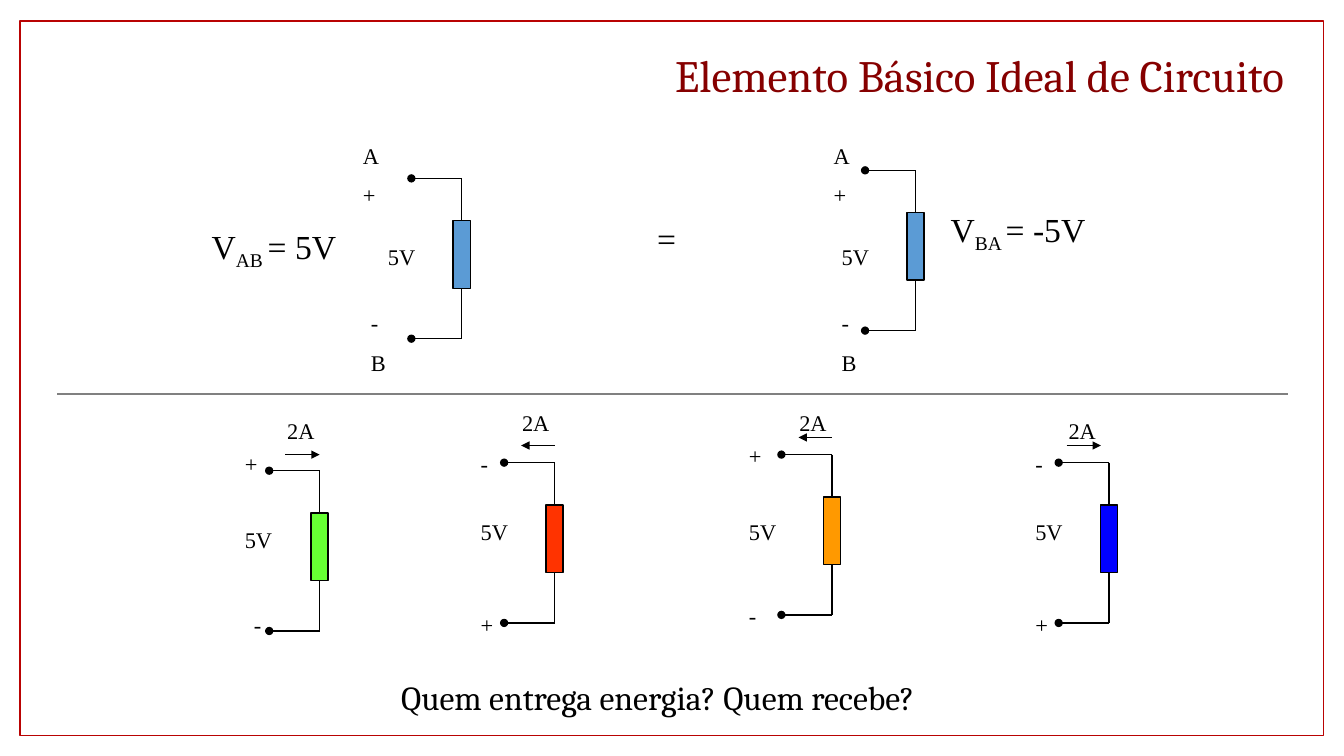
from lxml import etree
from pptx import Presentation
from pptx import util as u
from pptx.dml.color import RGBColor
from pptx.enum import shapes, text
from pptx.oxml.ns import qn

COLORS = {
    "frame": "B90303", "title": "860000", "ink": "000000", "divider": "808080",
    "sky": "5B9BD5", "green": "66FF33", "red": "FF3300",
    "orange": "FF9900", "blue": "0000FF",
}
SERIF, HEADING = "Times New Roman", "Cambria"

TITLE = "Elemento Básico Ideal de Circuito"
QUESTION = "Quem entrega energia? Quem recebe?"

# right wire x, top wire y, body colour
ELEMENTS = [
    (4.58, 1.77, "sky"), (9.08, 1.69, "sky"),
    (3.17, 4.67, "green"), (5.5, 4.59, "red"),
    (8.25, 4.51, "orange"), (11, 4.59, "blue"),
]
# current arrow: start x, end x, y
CURRENTS = [
    (2.83, 3.17, 4.51), (5.5, 5.17, 4.42),
    (8.25, 7.92, 4.34), (10.58, 10.92, 4.42),
]
# left, top, one text for each paragraph
LABELS = [
    (3.5, 1.36, ["A", "+"]), (3.75, 2.36, ["5V"]), (3.58, 3.02, ["-", "B"]),
    (8.17, 1.36, ["A", "+"]), (8.25, 2.36, ["5V"]), (8.25, 3.02, ["-", "B"]),
    (2.75, 4.09, ["2A"]), (2.33, 4.42, ["+"]), (2.33, 5.17, ["5V"]), (2.42, 6.01, ["-"]),
    (5.08, 4.01, ["2A"]), (4.67, 4.42, ["-"]), (4.67, 5.09, ["5V"]), (4.67, 6.01, ["+"]),
    (7.83, 4.01, ["2A"]), (7.33, 4.34, ["+"]), (7.33, 5.09, ["5V"]), (7.33, 5.92, ["-"]),
    (10.5, 4.09, ["2A"]), (10.17, 4.42, ["-"]), (10.17, 5.09, ["5V"]), (10.17, 6.01, ["+"]),
]
# left, top, width, (text, baseline shift) runs
EQUATIONS = [
    (2, 2.19, 1.5, [("V", 0), ("AB ", -25000), ("= 5V", 0)]),
    (6.42, 2.11, 1.17, [("=", 0)]),
    (9.33, 2.02, 1.67, [("V", 0), ("BA ", -25000), ("= -5V", 0)]),
]

BODY_WIDTH, BODY_HEIGHT = 0.17, 0.67
LEAD_TOP, LEAD_BOTTOM, TERMINAL = 0.42, 0.5, 0.5


def rgb(name):
    return RGBColor.from_string(COLORS[name])


def add_line(slide, start, end, color="ink", width=1, tip=None):
    line = slide.shapes.add_connector(
        shapes.MSO_CONNECTOR.STRAIGHT, *map(u.Inches, (*start, *end)))
    line.line.color.rgb = rgb(color)
    line.line.width = u.Pt(width)
    if tip:
        etree.SubElement(line.get_or_add_ln(), qn("a:tailEnd"), type=tip)
    etree.SubElement(line.element.spPr, qn("a:effectLst"))


def add_box(slide, left, top, width, height, line, fill=None):
    box = slide.shapes.add_shape(
        shapes.MSO_SHAPE.RECTANGLE, *map(u.Inches, (left, top, width, height)))
    box.shadow.inherit = False
    if fill:
        box.fill.solid()
        box.fill.fore_color.rgb = rgb(fill)
    else:
        box.fill.background()
    box.line.color.rgb = rgb(line)
    box.line.width = u.Pt(1)


def add_text(slide, left, top, width, height, paragraphs, size, font=SERIF, color="ink"):
    """Each paragraph is a list of (text, baseline shift) runs."""
    frame = slide.shapes.add_textbox(
        *map(u.Inches, (left, top, width, height))).text_frame
    frame.word_wrap = True
    for index, runs in enumerate(paragraphs):
        paragraph = frame.add_paragraph() if index else frame.paragraphs[0]
        if index:
            paragraph.space_before = u.Pt(9)
        for content, baseline in runs:
            run = paragraph.add_run()
            run.text = content
            run.font.name = font
            run.font.size = u.Pt(size)
            run.font.color.rgb = rgb(color)
            if baseline:
                run.font._element.set("baseline", str(baseline))
    return frame


def add_element(slide, x, y, fill):
    """Two-terminal element whose wires end in dots on the left."""
    body_top = y + LEAD_TOP
    body_bottom = body_top + BODY_HEIGHT
    bottom = body_bottom + LEAD_BOTTOM
    add_line(slide, (x, y), (x, body_top))
    add_line(slide, (x, body_bottom), (x, bottom))
    add_box(slide, x - BODY_WIDTH / 2, body_top, BODY_WIDTH, BODY_HEIGHT, "ink", fill)
    for wire_y in (y, bottom):
        add_line(slide, (x, wire_y), (x - TERMINAL, wire_y), tip="oval")


def main():
    presentation = Presentation()
    presentation.slide_width = u.Inches(13.33)
    presentation.slide_height = u.Inches(7.5)
    slide = presentation.slides.add_slide(presentation.slide_layouts[6])

    add_box(slide, 0.2, 0.21, 12.93, 7.09, "frame")
    title = add_text(slide, 2.99, 0.43, 9.82, 0.62, [[(TITLE, 0)]], 32, HEADING, "title")
    title.vertical_anchor = text.MSO_ANCHOR.BOTTOM
    title.margin_left = title.margin_right = u.Inches(0.07)
    title.margin_top = title.margin_bottom = u.Inches(0.04)
    title.paragraphs[0].alignment = text.PP_ALIGN.RIGHT
    title.paragraphs[0].line_spacing = 0.9

    for x, y, fill in ELEMENTS:
        add_element(slide, x, y, fill)
    for start, end, y in CURRENTS:
        add_line(slide, (start, y), (end, y), tip="triangle")
    for left, top, lines in LABELS:
        height = 0.37 + 0.4 * (len(lines) - 1)
        add_text(slide, left, top, 0.5, height, [[(line, 0)] for line in lines], 16)
    for left, top, width, runs in EQUATIONS:
        add_text(slide, left, top, width, 0.5, [runs], 24)

    add_text(slide, 3.88, 6.67, 6.25, 0.5, [[(QUESTION, 0)]], 24, HEADING)
    add_line(slide, (0.57, 3.91), (12.77, 3.91), "divider", 1.5)
    presentation.save("out.pptx")


if __name__ == "__main__":
    main()
